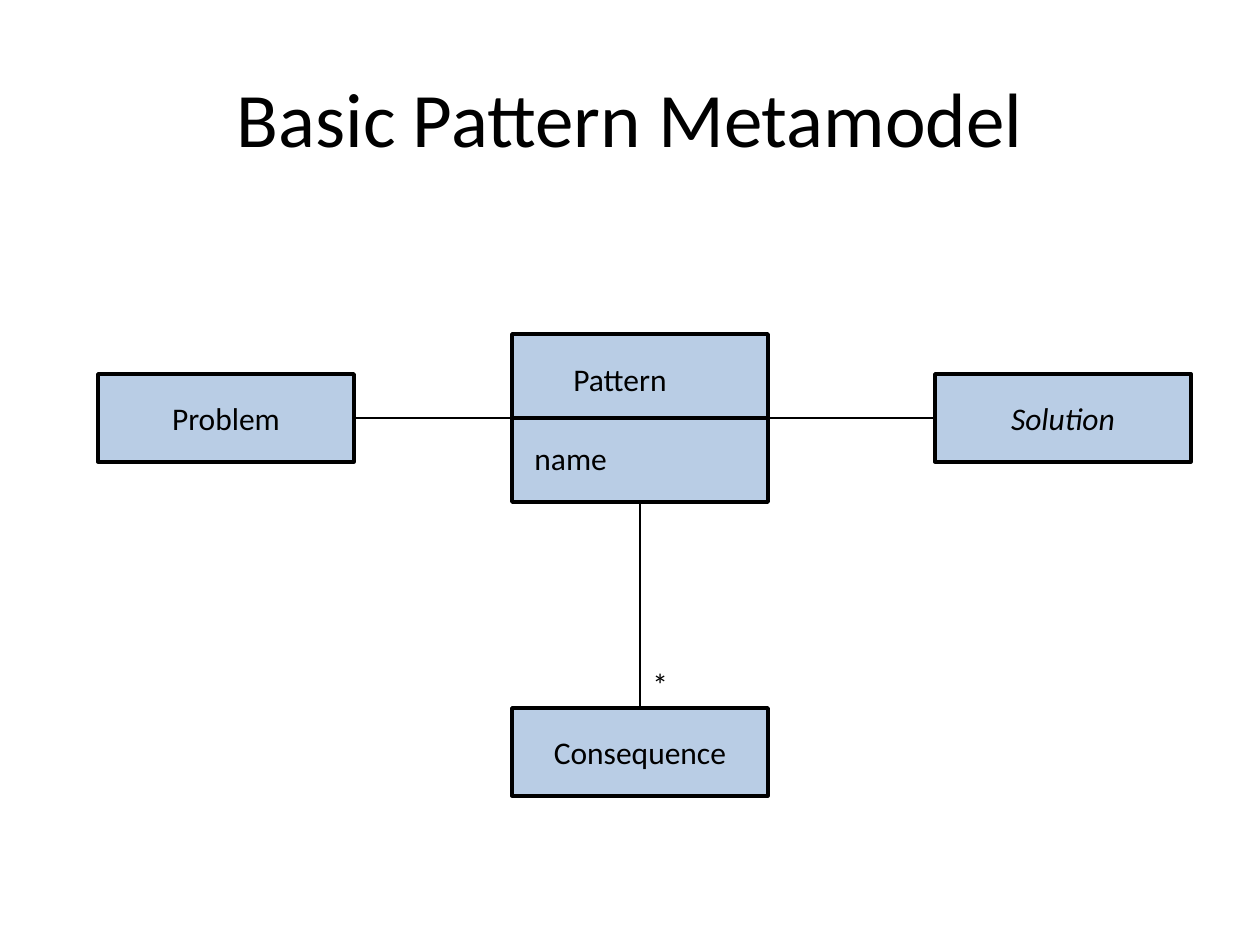
from dataclasses import dataclass

from lxml.etree import SubElement
from pptx import Presentation
from pptx.dml.color import RGBColor
from pptx.enum.shapes import MSO_CONNECTOR, MSO_SHAPE
from pptx.enum.text import MSO_ANCHOR, PP_ALIGN
from pptx.oxml.ns import qn
from pptx.shapes.autoshape import Shape
from pptx.shapes.connector import Connector
from pptx.util import Emu, Pt

PIXEL = 914400 // 126
COLORS = {"ink": "000000", "class": "B9CDE5"}
FONT = "Calibri"
CLASS_WIDTH, CLASS_HEIGHT = 256, 88
PATTERN_HEIGHT = 168
AXIS_Y = 418
PATTERN_X = 512
TOP, LEFT, BOTTOM, RIGHT = range(4)


@dataclass
class ClassBox:
    """A class of the metamodel."""
    label: str
    x: int
    y: int
    height: int = CLASS_HEIGHT
    italic: bool = False


@dataclass
class Label:
    """Free text on the slide."""
    text: str
    x: int
    y: int
    width: int
    height: int = 50
    size: int = 18
    align: PP_ALIGN = PP_ALIGN.LEFT
    anchor: MSO_ANCHOR = MSO_ANCHOR.TOP


@dataclass
class Association:
    """A line between sides of two classes."""
    source: str
    source_side: int
    target: str
    target_side: int


SIDE_Y = AXIS_Y - CLASS_HEIGHT // 2
PATTERN_Y = AXIS_Y - PATTERN_HEIGHT // 2
CLASSES = {
    "problem": ClassBox("Problem", 98, SIDE_Y),
    "solution": ClassBox("Solution", 935, SIDE_Y, italic=True),
    "consequence": ClassBox("Consequence", PATTERN_X, 708),
    "pattern": ClassBox("", PATTERN_X, PATTERN_Y, PATTERN_HEIGHT),
}
ASSOCIATIONS = [
    Association("pattern", LEFT, "problem", RIGHT),
    Association("pattern", BOTTOM, "consequence", TOP),
    Association("pattern", RIGHT, "solution", LEFT),
]
LABELS = [
    Label("Basic Pattern Metamodel", 63, 38, 1134, 158, 44,
          PP_ALIGN.CENTER, MSO_ANCHOR.MIDDLE),
    Label("Pattern", 561, 354, 158),
    Label("name", 522, 433, 158),
    Label("*", 640, 659, 49),
]


def px(value: int) -> Emu:
    """Turn pixels into EMU."""
    return Emu(value * PIXEL)


def color(name: str) -> RGBColor:
    """Look up a named colour."""
    return RGBColor.from_string(COLORS[name])


def set_text(shape: Shape, text: str, size: int, align: PP_ALIGN,
             anchor: MSO_ANCHOR, italic: bool = False) -> None:
    """Fill a shape with one formatted paragraph."""
    frame = shape.text_frame
    frame.word_wrap = True
    frame.vertical_anchor = anchor
    frame.text = text
    paragraph = frame.paragraphs[0]
    paragraph.alignment = align
    for run in paragraph.runs:
        run.font.name = FONT
        run.font.size = Pt(size)
        run.font.italic = italic
        run.font.color.rgb = color("ink")


def draw_class(box: ClassBox) -> Shape:
    """Draw a class rectangle."""
    shape = slide.shapes.add_shape(MSO_SHAPE.RECTANGLE, px(box.x), px(box.y),
                                   px(CLASS_WIDTH), px(box.height))
    shape.shadow.inherit = False
    shape.fill.solid()
    shape.fill.fore_color.rgb = color("class")
    shape.line.color.rgb = color("ink")
    shape.line.width = Pt(2)
    if box.label:
        set_text(shape, box.label, 18, PP_ALIGN.CENTER, MSO_ANCHOR.MIDDLE, box.italic)
    return shape


def draw_line(x1: int, y1: int, x2: int, y2: int, weight: float) -> Connector:
    """Draw a plain line without a shadow."""
    line = slide.shapes.add_connector(MSO_CONNECTOR.STRAIGHT,
                                      px(x1), px(y1), px(x2), px(y2))
    line.line.color.rgb = color("ink")
    line.line.width = Pt(weight)
    SubElement(line._element.spPr, qn("a:effectLst"))
    return line


def draw_association(link: Association) -> None:
    """Join two class rectangles."""
    line = draw_line(0, 0, 0, 0, 0.75)
    line.begin_connect(boxes[link.source], link.source_side)
    line.end_connect(boxes[link.target], link.target_side)


def draw_label(label: Label) -> None:
    """Draw a text box."""
    shape = slide.shapes.add_textbox(px(label.x), px(label.y),
                                     px(label.width), px(label.height))
    set_text(shape, label.text, label.size, label.align, label.anchor)


presentation = Presentation()
presentation.slide_width = px(1260)
presentation.slide_height = px(945)
slide = presentation.slides.add_slide(presentation.slide_layouts[6])

boxes = {key: draw_class(box) for key, box in CLASSES.items()}
for association in ASSOCIATIONS:
    draw_association(association)
draw_line(PATTERN_X, AXIS_Y, PATTERN_X + CLASS_WIDTH, AXIS_Y, 2)
for caption in LABELS:
    draw_label(caption)

presentation.save("out.pptx")
